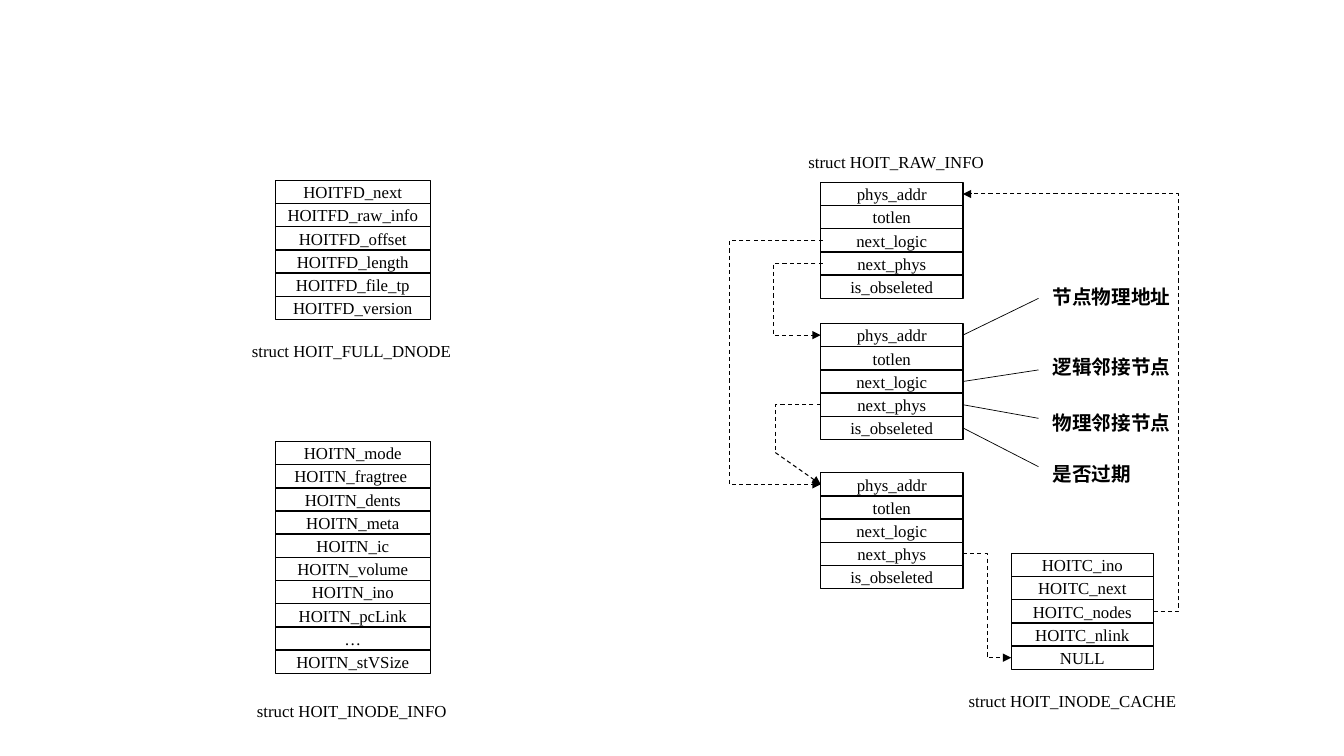
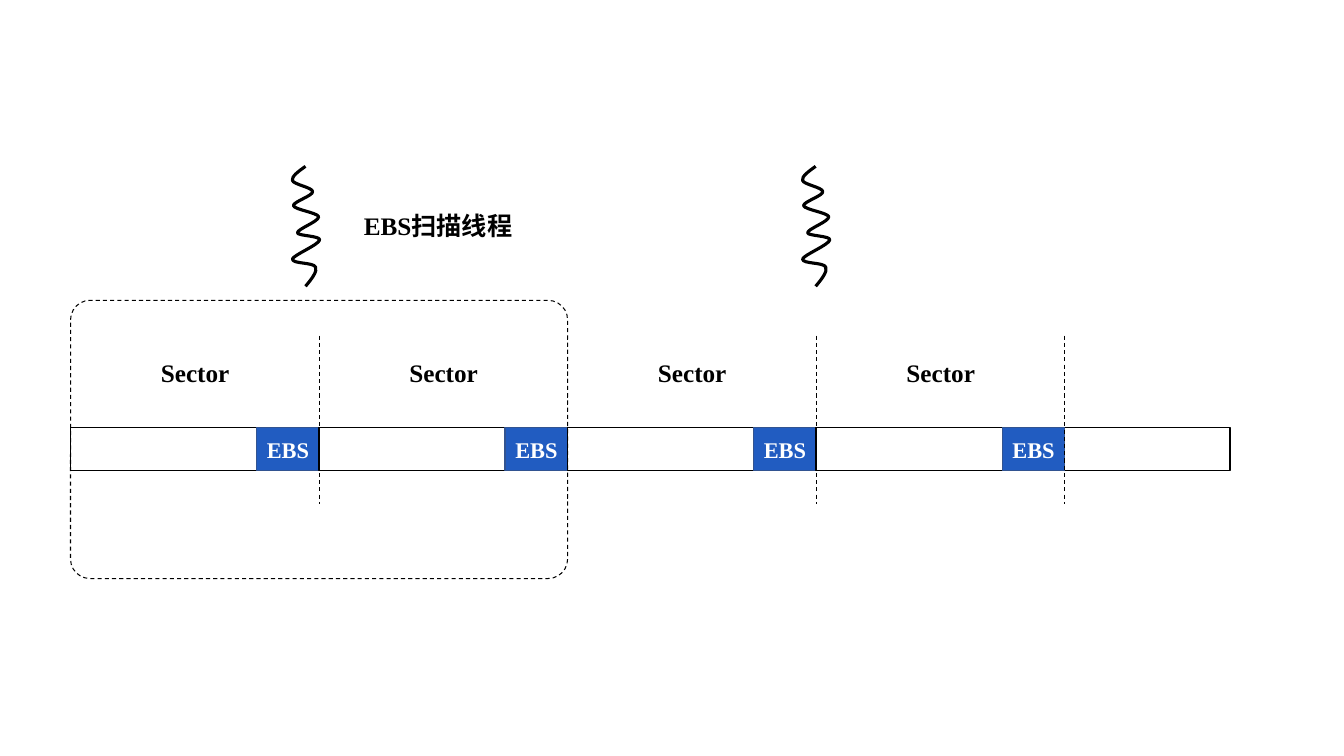
from lxml.etree import SubElement
from pptx import Presentation
from pptx.dml.color import RGBColor
from pptx.enum.dml import MSO_LINE
from pptx.enum.shapes import MSO_CONNECTOR, MSO_SHAPE
from pptx.enum.text import MSO_ANCHOR, MSO_AUTO_SIZE, PP_ALIGN
from pptx.oxml.ns import qn
from pptx.util import Inches, Pt

# Shared look
COLOURS = {"ink": "000000", "paper": "FFFFFF", "block": "215CC1", "block_edge": "325491"}
FONTS = {
    "field": {"name": "Times New Roman", "size": Pt(12), "bold": False},
    "callout": {"name": "Times New Roman", "size": Pt(14), "bold": True},
    "block": {"name": "Times New Roman", "size": Pt(16), "bold": True},
    "heading": {"name": "Times New Roman", "size": Pt(18), "bold": True},
}
LINES = {
    "edge": {"width": Pt(1)},
    "dashed": {"width": Pt(0.75), "dash_style": MSO_LINE.DASH},
    "thin": {"width": Pt(0.5)},
    "thread": {"width": Pt(2.25)},
}

# Grid: columns and rows of a tenth of an inch
CELL = Inches(0.1)
FIELD_ROWS = 2.3

# Slide 1 content
RAW_FIELDS = ["phys_addr", "totlen", "next_logic", "next_phys", "is_obseleted"]
CACHE_FIELDS = ["HOITC_ino", "HOITC_next", "HOITC_nodes", "HOITC_nlink", "NULL"]
DNODE_FIELDS = ["HOITFD_next", "HOITFD_raw_info", "HOITFD_offset",
                "HOITFD_length", "HOITFD_file_tp", "HOITFD_version"]
INODE_FIELDS = ["HOITN_mode", "HOITN_fragtree ", "HOITN_dents", "HOITN_meta",
                "HOITN_ic", "HOITN_volume", "HOITN_ino", "HOITN_pcLink", "…",
                "HOITN_stVSize"]
CAPTIONS = [
    ("struct HOIT_RAW_INFO", 79.2, 14.6, 21.1),
    ("struct HOIT_INODE_CACHE", 95.1, 68, 24.4),
    ("struct HOIT_FULL_DNODE", 24, 33.3, 22.2),
    ("struct HOIT_INODE_INFO", 24.5, 69, 21.1),
]
# Field, text, text row, row where the leader ends
CALLOUTS = [
    ("phys_addr", "节点物理地址", 27.8, 29.6),
    ("next_logic", "逻辑邻接节点", 34.7, 36.7),
    ("next_phys", "物理邻接节点", 40.3, 41.5),
    ("is_obseleted", "是否过期", 45.3, 46.3),
]

# Slide 2 content
SECTORS = 4
STRIP_LEFT, STRIP_TOP, STRIP_WIDTH, STRIP_HEIGHT = 7, 42.4, 115, 4.3
SECTOR_WIDTH, BLOCK_WIDTH = 24.65, 6.2
# Curve control points, three to a bend, measured from the top of the thread
THREAD = [
    (-0.7, 0.5), (-1.4, 1), (-1.3, 1.4), (-1.2, 1.8), (0.7, 2.1), (0.7, 2.5),
    (0.8, 2.9), (-1.2, 3.5), (-1.2, 3.9), (-1.1, 4.3), (1.2, 4.6), (1.3, 5),
    (1.3, 5.5), (-0.8, 6.2), (-0.8, 6.6), (-0.8, 6.9), (1.5, 6.9), (1.4, 7.3),
    (1.3, 7.8), (-1.2, 8.8), (-1.3, 9.2), (-1.3, 9.7), (0.8, 9.5), (1, 10),
    (1.2, 10.4), (0.6, 11.2), (0, 11.9),
]


def grid(*cells):
    return [round(cell * CELL) for cell in cells]


def colour(name):
    return RGBColor.from_string(COLOURS[name])


def set_values(target, values):
    for name, value in values.items():
        setattr(target, name, value)


def set_line(line, style, ink="ink"):
    line.color.rgb = colour(ink)
    set_values(line, LINES[style])


def write(shape, text, style, ink="ink", align=PP_ALIGN.LEFT):
    para = shape.text_frame.paragraphs[0]
    para.alignment = align
    span = para.add_run()
    span.text = text
    span.font.color.rgb = colour(ink)
    set_values(span.font, FONTS[style])


def add_box(page, place, fill="paper", edge="ink", line="edge", kind=MSO_SHAPE.RECTANGLE):
    box = page.shapes.add_shape(kind, *grid(*place))
    box.shadow.inherit = False
    if fill:
        box.fill.solid()
        box.fill.fore_color.rgb = colour(fill)
    else:
        box.fill.background()
    set_line(box.line, line, edge)
    box.text_frame.vertical_anchor = MSO_ANCHOR.MIDDLE
    return box


def add_label(page, text, place, style, align=PP_ALIGN.LEFT):
    label = page.shapes.add_textbox(*grid(*place))
    set_values(label.text_frame, {"word_wrap": True,
                                  "auto_size": MSO_AUTO_SIZE.SHAPE_TO_FIT_TEXT})
    write(label, text, style, align=align)


def add_record(page, fields, left, top, width):
    """Stack one box per field and return the boxes by field name."""
    boxes = {}
    for index, field in enumerate(fields):
        box = add_box(page, (left, top + index * FIELD_ROWS, width, FIELD_ROWS))
        write(box, field, "field", align=PP_ALIGN.CENTER)
        boxes[field] = box
    return boxes


def left_of(box, inset=0):
    return box.left + inset, box.top + box.height // 2


def right_of(box):
    return box.left + box.width, box.top + box.height // 2


def add_line(page, start, end, style="dashed", arrow=False, kind=MSO_CONNECTOR.STRAIGHT):
    connector = page.shapes.add_connector(kind, *start, *end)
    set_line(connector.line, style)
    if arrow:
        SubElement(connector.line._get_or_add_ln(), qn("a:tailEnd"), type="triangle")
    SubElement(connector._element.spPr, qn("a:effectLst"))
    return connector


def add_elbow(page, start, end, bend):
    """Run level to the bend column, then up or down, then level to the end."""
    connector = add_line(page, start, end, arrow=True, kind=MSO_CONNECTOR.ELBOW)
    share = round((bend * CELL - start[0]) / (end[0] - start[0]) * 100000)
    values = connector._element.spPr.find(".//" + qn("a:avLst"))
    SubElement(values, qn("a:gd"), name="adj1", fmla=f"val {share}")


def add_corner(page, start, end):
    connector = add_line(page, start, end, kind=MSO_CONNECTOR.ELBOW)
    connector._element.spPr.find(qn("a:prstGeom")).set("prst", "bentConnector2")


def add_thread(page, left, top):
    builder = page.shapes.build_freeform(*grid(left, top))
    builder.add_line_segments([grid(left + x, top + y) for x, y in THREAD], close=False)
    thread = builder.convert_to_shape()
    thread.shadow.inherit = False
    thread.fill.background()
    set_line(thread.line, "thread")
    # Join every three straight steps into one curve
    outline = next(thread._element.iter(qn("a:path")))
    steps = outline.findall(qn("a:lnTo"))
    for index in range(0, len(steps), 3):
        curve = SubElement(outline, qn("a:cubicBezTo"))
        for step in steps[index:index + 3]:
            curve.append(step[0])
            outline.remove(step)


def build_structures(page):
    # Records
    first, second, third = [add_record(page, RAW_FIELDS, 81.4, top, 14.1)
                            for top in (18.1, 32.1, 46.9)]
    cache = add_record(page, CACHE_FIELDS, 100.3, 54.9, 14.1)
    add_record(page, DNODE_FIELDS, 27.3, 17.9, 15.4)
    add_record(page, INODE_FIELDS, 27.3, 43.8, 15.4)
    for text, left, top, width in CAPTIONS:
        add_label(page, text, (left, top, width, 3), "field")

    # Links between records
    inset = Inches(0.02)
    target = left_of(third["phys_addr"])
    add_elbow(page, left_of(first["next_logic"], inset), target, 72.4)
    add_elbow(page, left_of(first["next_phys"], inset), left_of(second["phys_addr"]), 76.7)
    add_elbow(page, right_of(third["next_phys"]), left_of(cache["NULL"]), 97.9)
    add_elbow(page, right_of(cache["HOITC_nodes"]), right_of(first["phys_addr"]), 116.9)
    corner = grid(76.9, 44.9)
    add_corner(page, left_of(second["next_phys"]), corner)
    add_line(page, corner, target, arrow=True)

    # Field explanations
    for field, text, top, leader_row in CALLOUTS:
        add_label(page, text, (103.4, top, 16.1, 3.4), "callout")
        add_line(page, right_of(second[field]), grid(103, leader_row), "thin")


def build_sectors(page):
    # Strip of sectors, each ending in an EBS block
    add_box(page, (STRIP_LEFT, STRIP_TOP, STRIP_WIDTH, STRIP_HEIGHT))
    starts = [STRIP_LEFT + index * SECTOR_WIDTH for index in range(SECTORS)]
    for start in starts:
        add_box(page, (start, STRIP_TOP, SECTOR_WIDTH, STRIP_HEIGHT))
        block = add_box(page, (start + SECTOR_WIDTH - BLOCK_WIDTH, STRIP_TOP,
                               BLOCK_WIDTH, STRIP_HEIGHT), "block", "block_edge")
        write(block, "EBS", "block", "paper", PP_ALIGN.CENTER)

    # Dividers and headings
    for start in starts:
        end = start + SECTOR_WIDTH
        add_line(page, grid(end, 33.3), grid(end, 50))
        add_label(page, "Sector", (start + 5.75, 35, 13.2, 4), "heading", PP_ALIGN.CENTER)

    # Scan range and threads
    scan_range = add_box(page, (STRIP_LEFT, 29.8, 2 * SECTOR_WIDTH, 27.6), None,
                         line="dashed", kind=MSO_SHAPE.ROUNDED_RECTANGLE)
    scan_range.adjustments[0] = 0.07
    for left in (30.3, 80.9):
        add_thread(page, left, 16.5)
    add_label(page, "EBS扫描线程", (35.1, 20.4, 16.9, 4), "heading")


def main():
    deck = Presentation()
    set_values(deck, {"slide_width": Inches(13.33), "slide_height": Inches(7.5)})
    for build in (build_structures, build_sectors):
        build(deck.slides.add_slide(deck.slide_layouts[6]))
    deck.save("out.pptx")


main()
